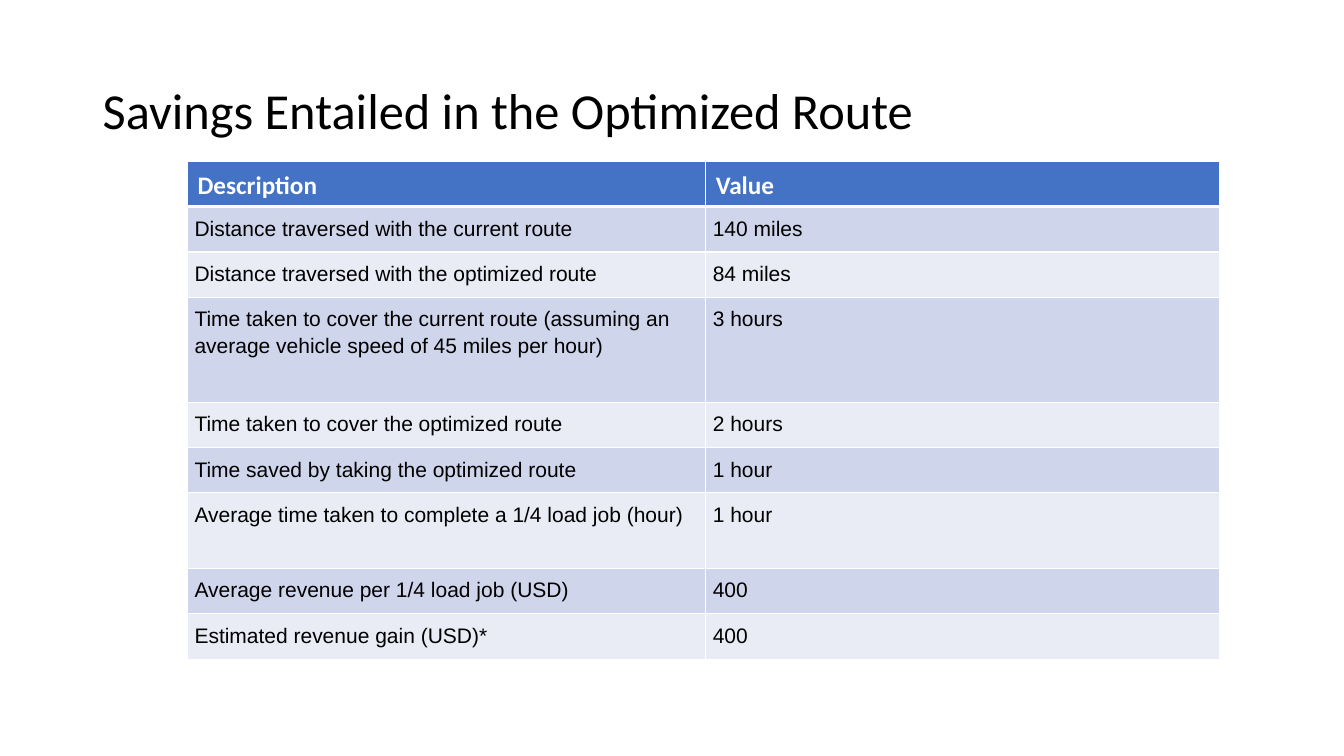
from pptx import Presentation
from pptx.dml.color import RGBColor
from pptx.enum.text import MSO_ANCHOR
from pptx.oxml import parse_xml
from pptx.oxml.ns import nsdecls
from pptx.util import Inches, Pt

COLORS = {"text": "000000", "white": "FFFFFF", "header": "4472C4",
          "band_dark": "CFD5EA", "band_light": "E9EBF5"}
TITLE_FONT = {"name": "Calibri", "size": Pt(36), "bold": False}
HEADER_FONT = {"name": "Calibri", "size": Pt(18), "bold": True}
BODY_FONT = {"name": "Arial", "size": Pt(15), "bold": False}

COLUMN_WIDTHS = [5.14, 5.1]
ROW_HEIGHT = 0.45
SAVINGS = [  # description, value, row height
    ("Description", "Value", ROW_HEIGHT),
    ("Distance traversed with the current route", "140 miles", ROW_HEIGHT),
    ("Distance traversed with the optimized route", "84 miles", ROW_HEIGHT),
    ("Time taken to cover the current route (assuming an average vehicle "
     "speed of 45 miles per hour)", "3 hours", 1.04),
    ("Time taken to cover the optimized route", "2 hours", ROW_HEIGHT),
    ("Time saved by taking the optimized route", "1 hour", ROW_HEIGHT),
    ("Average time taken to complete a 1/4 load job (hour)", "1 hour", 0.75),
    ("Average revenue per 1/4 load job (USD)", "400", ROW_HEIGHT),
    ("Estimated revenue gain (USD)*", "400", ROW_HEIGHT),
]


class SlideBuilder:
    def __init__(self, slide):
        self.slide = slide

    def add_text(self, text_frame, text, font, color, line_spacing):
        paragraph = text_frame.paragraphs[0]
        paragraph.line_spacing = line_spacing
        run = paragraph.add_run()
        run.text = text
        for attribute, value in font.items():
            setattr(run.font, attribute, value)
        run.font.color.rgb = RGBColor.from_string(COLORS[color])

    def title(self, text, left, top, width, height):
        shape = self.slide.shapes.add_textbox(
            Inches(left), Inches(top), Inches(width), Inches(height))
        shape.text_frame.word_wrap = True
        shape.text_frame.vertical_anchor = MSO_ANCHOR.MIDDLE
        self.add_text(shape.text_frame, text, TITLE_FONT, "text", 0.9)

    def borders(self, cell, widths):
        """Draw white borders; widths are points by side, in schema order."""
        properties = cell._tc.get_or_add_tcPr()
        for index, (side, width) in enumerate(widths.items()):
            properties.insert(index, parse_xml(
                f'<a:ln{side} {nsdecls("a")} w="{Pt(width)}"><a:solidFill>'
                f'<a:srgbClr val="{COLORS["white"]}"/></a:solidFill></a:ln{side}>'))

    def cell(self, cell, text, row_index):
        is_header = row_index == 0
        if is_header:
            fill, font, color = "header", HEADER_FONT, "white"
            margins = {"left": 0.1, "top": 0.05, "right": 0.1, "bottom": 0.05}
        else:
            fill = "band_dark" if row_index % 2 else "band_light"
            font, color = BODY_FONT, "text"
            margins = dict.fromkeys(("left", "top", "right", "bottom"), 0.07)
        for side, margin in margins.items():
            setattr(cell, f"margin_{side}", Inches(margin))
        cell.fill.solid()
        cell.fill.fore_color.rgb = RGBColor.from_string(COLORS[fill])
        self.borders(cell, {"L": 1, "R": 1, "T": 3 if row_index == 1 else 1,
                            "B": 3 if is_header else 1})
        self.add_text(cell.text_frame, text, font, color, 1.15)

    def table(self, rows, left, top):
        heights = [row[-1] for row in rows]
        table = self.slide.shapes.add_table(
            len(rows), len(COLUMN_WIDTHS), Inches(left), Inches(top),
            Inches(sum(COLUMN_WIDTHS)), Inches(sum(heights))).table
        for column, width in zip(table.columns, COLUMN_WIDTHS):
            column.width = Inches(width)
        for row_index, (*texts, height) in enumerate(rows):
            table.rows[row_index].height = Inches(height)
            for column_index, text in enumerate(texts):
                self.cell(table.cell(row_index, column_index), text, row_index)


def main():
    presentation = Presentation()
    presentation.slide_width = Inches(13.33)
    presentation.slide_height = Inches(7.5)
    builder = SlideBuilder(
        presentation.slides.add_slide(presentation.slide_layouts[6]))
    builder.title("Savings Entailed in the Optimized Route", 0.92, 0.4, 11.5, 1.45)
    builder.table(SAVINGS, 1.86, 1.6)
    presentation.save("out.pptx")


if __name__ == "__main__":
    main()
